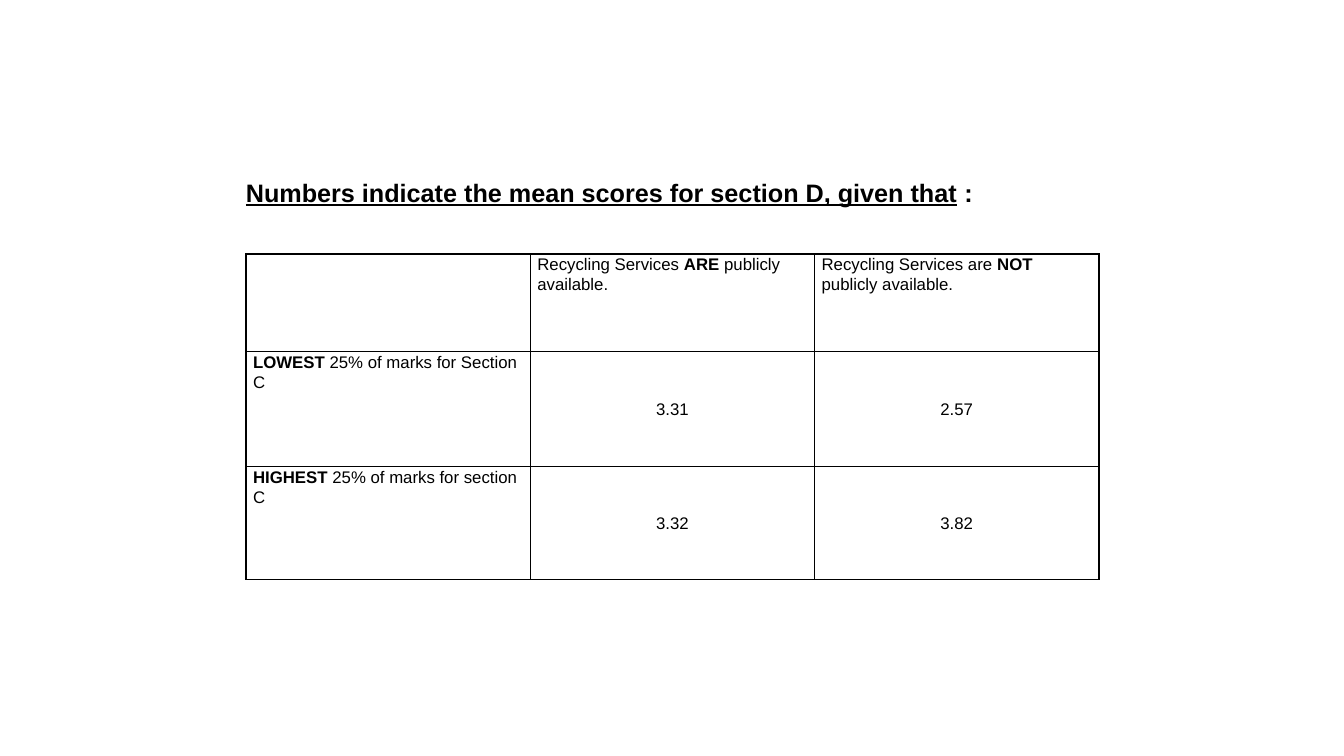
"""Build a slide with a table of mean section D scores by recycling availability."""
from lxml import etree
from pptx import Presentation
from pptx.dml.color import RGBColor
from pptx.enum.text import MSO_ANCHOR, PP_ALIGN
from pptx.oxml.ns import qn
from pptx.util import Inches, Pt

LEFT, CENTER, JUSTIFY = PP_ALIGN.LEFT, PP_ALIGN.CENTER, PP_ALIGN.JUSTIFY
TOP, MIDDLE = MSO_ANCHOR.TOP, MSO_ANCHOR.MIDDLE
COLORS = {"ink": "000000", "paper": "FFFFFF"}
FONT = "Arial"
COLUMN_WIDTH = Inches(2.82)
ROW_HEIGHTS = [Inches(0.97), Inches(1.14), Inches(1.12)]
CELL_MARGINS = {"margin_left": Inches(0.07), "margin_right": Inches(0.07),
                "margin_top": 0, "margin_bottom": 0}
CELL_SPACING = {"line_spacing": 1.07, "space_after": Pt(8)}
HEADING_SPACING = {"alignment": JUSTIFY, "line_spacing": 0.9, "space_before": Pt(10)}

HEADING = [("Numbers indicate the mean scores for section D, given that",
            {"bold": True, "underline": True}),
           (" :", {"bold": True, "underline": False})]
STRONG, PLAIN = {"bold": True}, {"bold": False}
SCORES = [
    [[],
     [("Recycling Services ", PLAIN), ("ARE", STRONG), (" publicly available.", PLAIN)],
     [("Recycling Services are ", PLAIN), ("NOT", STRONG), (" publicly available.", PLAIN)]],
    [[("LOWEST", STRONG), (" 25% of marks for Section C", PLAIN)],
     [("3.31", PLAIN)], [("2.57", PLAIN)]],
    [[("HIGHEST", STRONG), (" 25% of marks for section C", PLAIN)],
     [("3.32", PLAIN)], [("3.82", PLAIN)]],
]


def write(paragraph, pieces, size, spacing):
    for key, value in spacing.items():
        setattr(paragraph, key, value)
    for words, emphasis in pieces:
        run = paragraph.add_run()
        run.text = words
        run.font.color.rgb = RGBColor.from_string(COLORS["ink"])
        for key, value in {"name": FONT, "size": Pt(size), **emphasis}.items():
            setattr(run.font, key, value)


def outline(cell):
    properties = cell._tc.get_or_add_tcPr()
    for side in ("lnL", "lnR", "lnT", "lnB"):
        line = etree.SubElement(properties, qn(f"a:{side}"), w=str(Pt(1)))
        solid = etree.SubElement(line, qn("a:solidFill"))
        etree.SubElement(solid, qn("a:srgbClr"), val=COLORS["ink"])


prs = Presentation()
prs.slide_width, prs.slide_height = Inches(13.33), Inches(7.5)
slide = prs.slides.add_slide(prs.slide_layouts[6])
slide.background.fill.solid()
slide.background.fill.fore_color.rgb = RGBColor.from_string(COLORS["paper"])

score_table = slide.shapes.add_table(
    len(SCORES), len(SCORES[0]), Inches(2.44), Inches(2.52),
    COLUMN_WIDTH * len(SCORES[0]), sum(ROW_HEIGHTS)).table
for flag in ("first_row", "horz_banding"):
    setattr(score_table, flag, False)
for column in score_table.columns:
    column.width = COLUMN_WIDTH

for r, (height, entries) in enumerate(zip(ROW_HEIGHTS, SCORES)):
    score_table.rows[r].height = height
    for c, pieces in enumerate(entries):
        cell = score_table.cell(r, c)
        is_score = r > 0 and c > 0
        for key, value in CELL_MARGINS.items():
            setattr(cell, key, value)
        cell.vertical_anchor = MIDDLE if is_score else TOP
        outline(cell)
        cell.fill.background()
        write(cell.text_frame.paragraphs[0], pieces, 12,
              {**CELL_SPACING, "alignment": CENTER if is_score else LEFT})

heading = slide.shapes.add_textbox(Inches(2.34), Inches(1.74), Inches(7.43), Inches(0.64)).text_frame
heading.word_wrap = True
write(heading.paragraphs[0], HEADING, 18, HEADING_SPACING)

prs.save("out.pptx")
